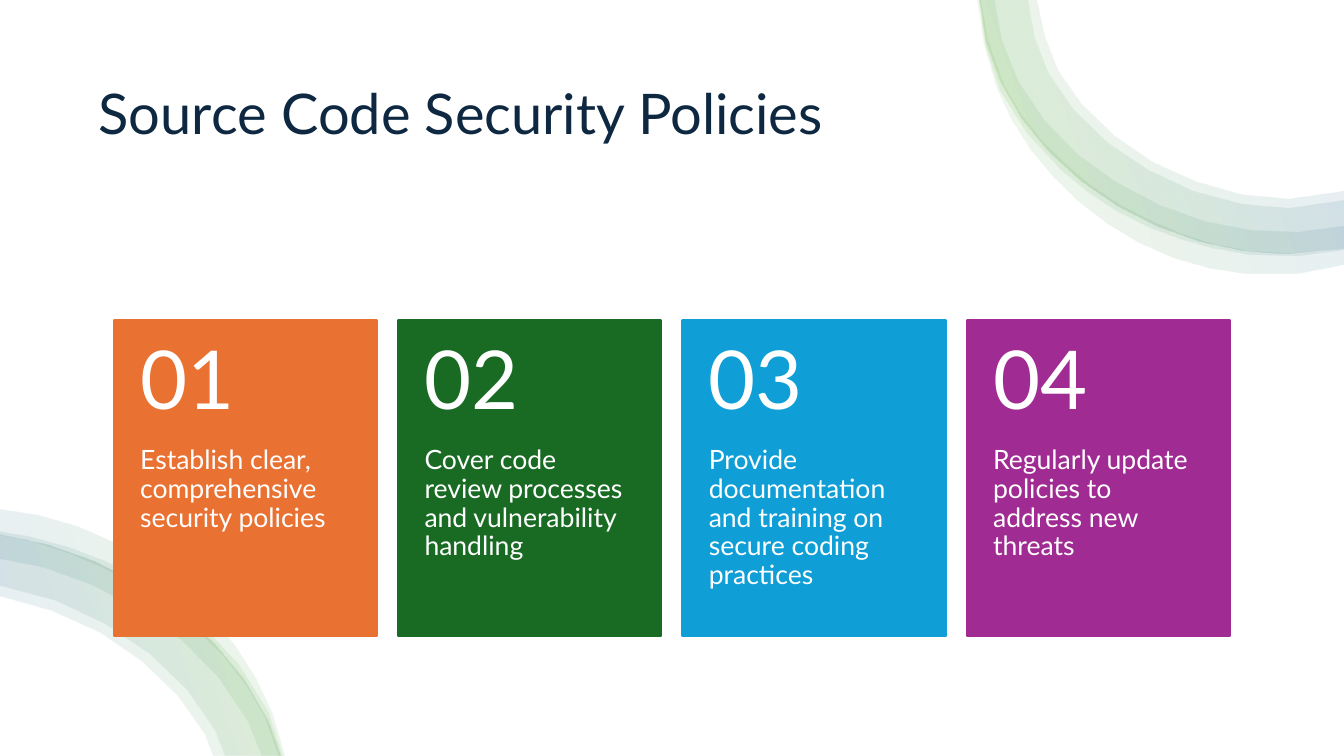
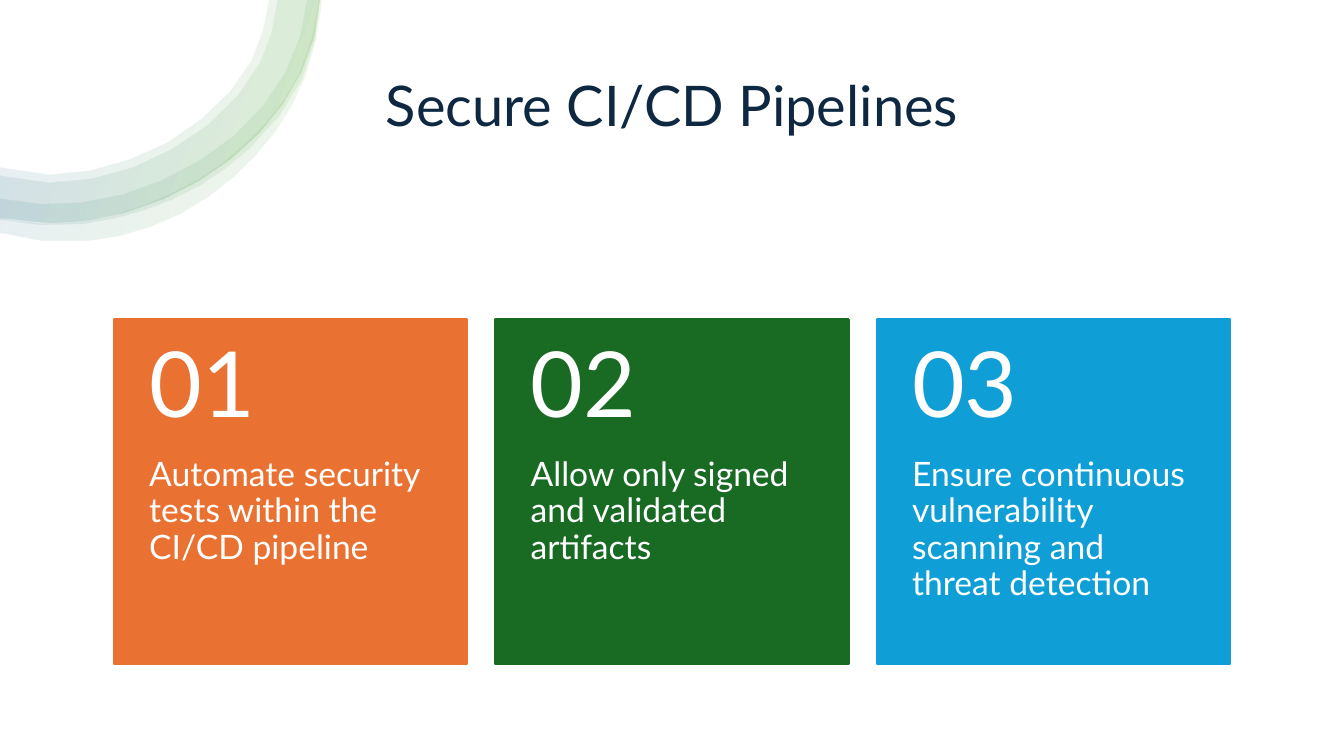
from lxml import etree
from math import dist
from pptx import Presentation
from pptx.dml.color import RGBColor
from pptx.enum.shapes import MSO_SHAPE as Shape
from pptx.enum.text import MSO_ANCHOR as Anchor, MSO_AUTO_SIZE as AutoSize, PP_ALIGN as Align
from pptx.oxml.ns import qn
from pptx.util import Inches, Pt

SLIDE_W, SLIDE_H = 13.33, 7.5
FONT = "Lato"
NAVY, WHITE = "0E2841", "FFFFFF"
CARD_COLORS = ["E97132", "196B24", "0F9ED5", "A02B93"]
SWOOSH_STOPS = [(2, "FFFFFF"), (16, "4EA72E"), (85, "156082"), (100, "FFFFFF")]
SWOOSH_ALPHA = 10

# Band edges as chained cubic curves, running from the top edge to the left edge
CREST = [(3.17, 0), (3.1, 1.26), (1.78, 2.21), (0.49, 2.21), (0.33, 2.21), (0.16, 2.2), (0, 2.16)]
SWOOSH_BANDS = [
    (CREST,
     [(2.67, 0), (2.64, 0.22), (2.58, 0.42), (2.49, 0.61), (2.38, 0.81), (2.21, 1.01),
      (2, 1.18), (1.8, 1.35), (1.55, 1.49), (1.29, 1.58), (1.03, 1.68), (0.75, 1.73),
      (0.49, 1.73), (0.33, 1.73), (0.16, 1.71), (0, 1.66)]),
    (CREST,
     [(2.75, 0), (2.73, 0.23), (2.67, 0.44), (2.57, 0.64), (2.45, 0.86), (2.28, 1.06),
      (2.06, 1.24), (1.84, 1.41), (1.59, 1.56), (1.32, 1.66), (1.04, 1.76), (0.76, 1.81),
      (0.49, 1.81), (0.33, 1.81), (0.16, 1.79), (0, 1.74)]),
    ([(3.17, 0), (3.16, 0.27), (3.1, 0.54), (2.99, 0.79), (2.86, 1.05), (2.68, 1.28),
      (2.46, 1.48), (2.24, 1.68), (1.99, 1.85), (1.71, 1.97), (1.44, 2.09), (1.14, 2.17),
      (0.84, 2.21), (0.56, 2.24), (0.28, 2.23), (0, 2.17)],
     [(3.04, 0), (3.02, 0.24), (2.95, 0.48), (2.83, 0.71), (2.7, 0.95), (2.53, 1.16),
      (2.32, 1.34), (2.11, 1.52), (1.87, 1.66), (1.61, 1.78), (1.36, 1.89), (1.09, 1.97),
      (0.81, 2), (0.54, 2.03), (0.27, 2.02), (0, 1.96)]),
    ([(3.19, 0), (3.17, 0.26), (3.11, 0.52), (3.02, 0.77), (2.91, 1.05), (2.74, 1.32),
      (2.53, 1.54), (2.32, 1.77), (2.07, 1.96), (1.79, 2.11), (1.5, 2.26), (1.19, 2.35),
      (0.86, 2.38), (0.57, 2.41), (0.28, 2.38), (0, 2.3)],
     [(3.16, 0), (3.14, 0.23), (3.07, 0.49), (2.96, 0.74), (2.83, 1), (2.65, 1.23),
      (2.42, 1.43), (2.21, 1.63), (1.95, 1.8), (1.68, 1.92), (1.41, 2.05), (1.13, 2.14),
      (0.84, 2.18), (0.56, 2.22), (0.28, 2.22), (0, 2.16)]),
]


def rgb(color):
    return RGBColor.from_string(color)


def curve_points(nodes, spacing=0.35):
    points = [nodes[0]]
    for start in range(0, len(nodes) - 1, 3):
        a, b, c, d = nodes[start:start + 4]
        steps = max(1, round(dist(a, d) / spacing))
        for step in range(1, steps + 1):
            t = step / steps
            u = 1 - t
            points.append(tuple(
                u**3 * a[i] + 3 * u * u * t * b[i] + 3 * u * t * t * c[i] + t**3 * d[i]
                for i in (0, 1)))
    return points


def on_slide(point):
    return 0 <= point[0] <= SLIDE_W and 0 <= point[1] <= SLIDE_H


def border_crossing(inside, outside):
    nearest = (min(max(outside[0], 0), SLIDE_W), min(max(outside[1], 0), SLIDE_H))
    t = min((n - i) / (o - i) for i, o, n in zip(inside, outside, nearest) if o != i)
    return tuple(i + t * (o - i) for i, o in zip(inside, outside))


def trim_to_slide(points):
    kept = [points[0]] if on_slide(points[0]) else []
    for start, end in zip(points, points[1:]):
        if on_slide(start) != on_slide(end):
            pair = (start, end) if on_slide(start) else (end, start)
            kept.append(border_crossing(*pair))
        if on_slide(end):
            kept.append(end)
    return kept


def fill_swoosh_gradient(band, angle):
    band.fill.background()
    no_fill = band._element.spPr.find(qn("a:noFill"))
    gradient = etree.Element(qn("a:gradFill"), rotWithShape="1")
    stops = etree.SubElement(gradient, qn("a:gsLst"))
    for position, color in SWOOSH_STOPS:
        stop = etree.SubElement(stops, qn("a:gs"), pos=str(position * 1000))
        stop_color = etree.SubElement(stop, qn("a:srgbClr"), val=color)
        etree.SubElement(stop_color, qn("a:alpha"), val=str(SWOOSH_ALPHA * 1000))
    etree.SubElement(gradient, qn("a:lin"), ang=str(angle * 60000), scaled="0")
    no_fill.getparent().replace(no_fill, gradient)


def add_swoosh(slide, left, top, scale_x, scale_y, angle):
    """Draw the bands from an origin; a negative scale mirrors them."""
    def placed_edge(nodes):
        return trim_to_slide([(left + scale_x * x, top + scale_y * y)
                              for x, y in curve_points(nodes)])

    for outer, inner in SWOOSH_BANDS:
        edges = placed_edge(outer) + placed_edge(inner)[::-1]
        first, *rest = [(Inches(x), Inches(y)) for x, y in edges]
        outline = slide.shapes.build_freeform(*first)
        outline.add_line_segments(rest, close=True)
        band = outline.convert_to_shape()
        band.shadow.inherit = False
        band.line.fill.background()
        fill_swoosh_gradient(band, angle)


def write(frame, text, size, color, align=Align.LEFT):
    frame.word_wrap = True
    frame.auto_size = AutoSize.NONE
    paragraph = frame.paragraphs[0]
    paragraph.text = text
    paragraph.alignment = align
    paragraph.line_spacing = 0.9
    paragraph.font.name = FONT
    paragraph.font.size = Pt(size)
    paragraph.font.color.rgb = rgb(color)


def set_title(slide, text, box, align=Align.LEFT):
    title = slide.shapes.title
    title.left, title.top, title.width, title.height = map(Inches, box)
    title.text_frame.vertical_anchor = Anchor.MIDDLE
    write(title.text_frame, text, 40, NAVY, align)


def add_card_text(slide, text, size, box, insets, anchor):
    frame = slide.shapes.add_textbox(*map(Inches, box)).text_frame
    side, above, below = map(Inches, insets)
    frame.margin_left = frame.margin_right = side
    frame.margin_top, frame.margin_bottom = above, below
    frame.vertical_anchor = anchor
    write(frame, text, size, WHITE)


def add_card(slide, number, policy, color, box, number_size, policy_size):
    left, top, width, height = box
    card = slide.shapes.add_shape(Shape.RECTANGLE, *map(Inches, box))
    card.shadow.inherit = False
    card.fill.solid()
    card.fill.fore_color.rgb = card.line.color.rgb = rgb(color)
    card.line.width = Pt(1.5)
    side, head = 0.1 * width, 0.4 * height
    add_card_text(slide, policy, policy_size, (left, top + head, width, height - head),
                  (side, 0, 0.36), Anchor.TOP)
    add_card_text(slide, f"{number:02d}", number_size, (left, top, width, head),
                  (side, 0.18, 0.18), Anchor.MIDDLE)


def add_card_row(slide, policies, box, number_size, policy_size):
    left, top, row_width, height = box
    gap_share = 0.08
    width = row_width / (len(policies) + gap_share * (len(policies) - 1))
    pitch = width * (1 + gap_share)
    for index, (policy, color) in enumerate(zip(policies, CARD_COLORS)):
        add_card(slide, index + 1, policy, color, (left + index * pitch, top, width, height),
                 number_size, policy_size)


def add_policies_slide(prs, layout):
    slide = prs.slides.add_slide(layout)
    set_title(slide, "Source Code Security Policies", (0.88, 0.5, 11.57, 1.3))
    add_swoosh(slide, SLIDE_W, 0, -1.14, 1.14, angle=340)
    add_swoosh(slide, -1.11, 8.05, 1.26, -1.26, angle=160)
    add_card_row(slide, [
        "Establish clear, comprehensive security policies",
        "Cover code review processes and vulnerability handling",
        "Provide documentation and training on secure coding practices",
        "Regularly update policies to address new threats",
    ], (1.13, 3.18, 11.07, 3.13), number_size=58, policy_size=19)


def add_pipelines_slide(prs, layout):
    slide = prs.slides.add_slide(layout)
    set_title(slide, "Secure CI/CD Pipelines", (1.29, 0.35, 10.75, 1.45), Align.CENTER)
    add_swoosh(slide, 0, 0, 1, 1, angle=200)
    add_card_row(slide, [
        "Automate security tests within the CI/CD pipeline",
        "Allow only signed and validated artifacts",
        "Ensure continuous vulnerability scanning and threat detection",
    ], (1.13, 3.17, 11.07, 3.42), number_size=65, policy_size=24)


def main():
    prs = Presentation()
    prs.slide_width, prs.slide_height = Inches(SLIDE_W), Inches(SLIDE_H)
    title_only = prs.slide_layouts[5]
    add_policies_slide(prs, title_only)
    add_pipelines_slide(prs, title_only)
    prs.save("out.pptx")


if __name__ == "__main__":
    main()
